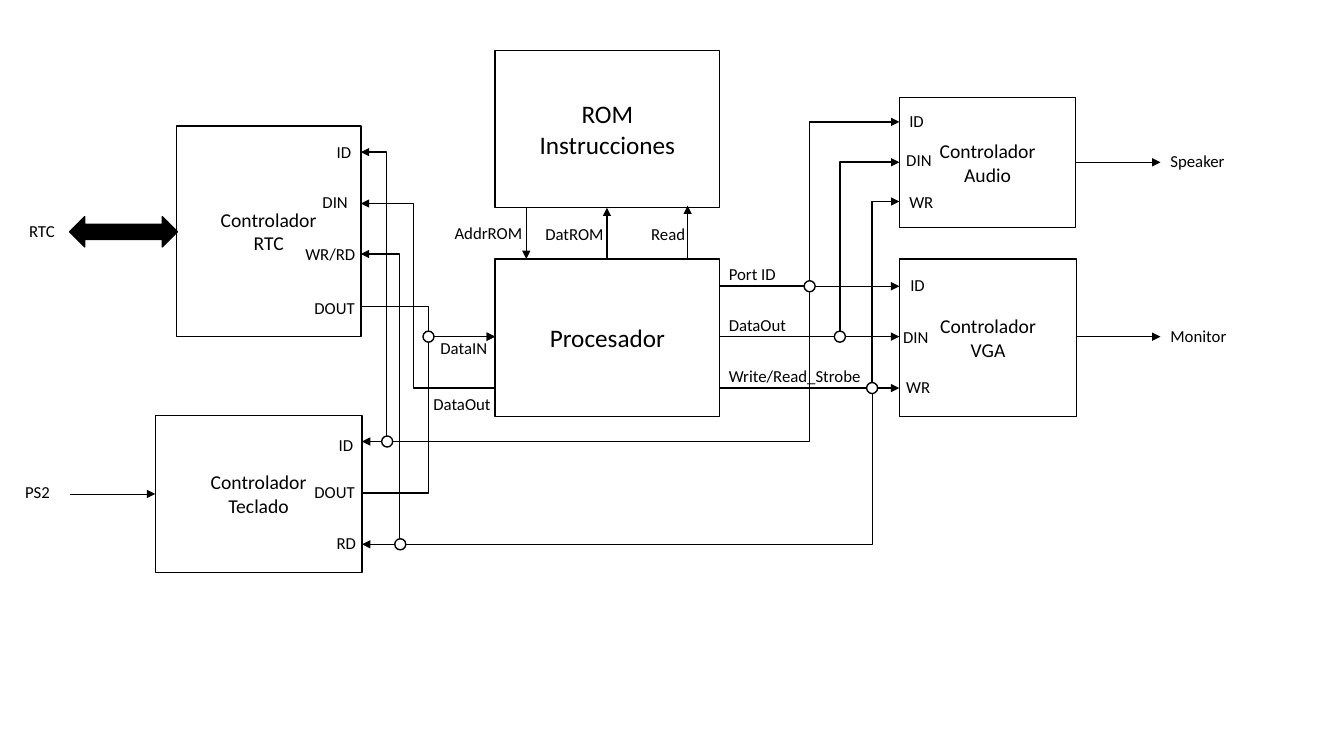
"""Builds a block diagram of a processor core with its controllers and buses."""
from lxml.etree import SubElement
from pptx import Presentation
from pptx.dml.color import RGBColor
from pptx.enum.shapes import MSO_CONNECTOR, MSO_SHAPE
from pptx.enum.text import MSO_ANCHOR, PP_ALIGN
from pptx.oxml.ns import qn
from pptx.util import Inches, Pt

THEME = {
    "font": "Calibri", "ink": RGBColor(0, 0, 0), "paper": RGBColor(255, 255, 255),
    "core": 18, "controller": 14, "label": 12, "line": 1, "thin": 0.5,
}
LABEL_HEIGHT, NODE_SIZE = 0.3, 0.11

BLOCKS = {
    "rom": (["ROM", "Instrucciones"], "core", 4.91, 0.5, 2.23, 1.56),
    "cpu": (["Procesador"], "core", 4.91, 2.57, 2.23, 1.56),
    "audio": (["Controlador", "Audio"], "controller", 8.92, 0.97, 1.75, 1.29),
    "vga": (["Controlador", "VGA"], "controller", 8.92, 2.57, 1.76, 1.56),
    "rtc": (["Controlador", "RTC"], "controller", 1.75, 1.25, 1.83, 2.09),
    "keyboard": (["Controlador", "Teclado"], "controller", 1.54, 4.12, 2.05, 1.56),
}
LEFT = {name: block[2] for name, block in BLOCKS.items()}
RIGHT = {name: block[2] + block[4] for name, block in BLOCKS.items()}

PORT_ROW, DATA_ROW, STROBE_ROW = 2.84, 3.34, 3.85
AUDIO_ID, AUDIO_DIN, AUDIO_WR = 1.21, 1.61, 2.0
RTC_ID, RTC_DIN, RTC_WR, RTC_DOUT = 1.51, 2.02, 2.52, 3.04
KEY_ID, KEY_DOUT, KEY_RD = 4.38, 4.89, 5.4
PORT_RAIL, DATA_RAIL, STROBE_RAIL = 8.03, 8.33, 8.65
ID_RAIL, WR_RAIL, DIN_RAIL, DOUT_RAIL = 3.84, 3.97, 4.1, 4.25

ELBOWS = [
    ("cpu", PORT_ROW, PORT_RAIL, "audio", AUDIO_ID, "line"),
    ("cpu", DATA_ROW, DATA_RAIL, "audio", AUDIO_DIN, "line"),
    ("cpu", STROBE_ROW, STROBE_RAIL, "audio", AUDIO_WR, "line"),
    ("cpu", PORT_ROW, PORT_RAIL, "keyboard", KEY_ID, "thin"),
    ("cpu", STROBE_ROW, STROBE_RAIL, "keyboard", KEY_RD, "thin"),
    ("keyboard", KEY_DOUT, DOUT_RAIL, "cpu", DATA_ROW, "line"),
    ("rtc", RTC_DOUT, DOUT_RAIL, "cpu", DATA_ROW, "line"),
    ("keyboard", KEY_RD, WR_RAIL, "rtc", RTC_WR, "line"),
    ("keyboard", KEY_ID, ID_RAIL, "rtc", RTC_ID, "line"),
]
ARROWS = [(RIGHT["cpu"], row, LEFT["vga"], row, "line")
          for row in (PORT_ROW, DATA_ROW, STROBE_ROW)] + [
    (5.22, 2.06, 5.22, 2.57, "line"),
    (6.02, 2.57, 6.02, 2.06, "line"),
    (6.82, 2.57, 6.82, 2.04, "line"),
    (RIGHT["audio"], 1.61, 11.51, 1.61, "thin"),
    (RIGHT["vga"], DATA_ROW, 11.51, DATA_ROW, "thin"),
    (0.69, 4.9, LEFT["keyboard"], 4.9, "thin"),
]
NODES = [(PORT_RAIL, PORT_ROW), (DATA_RAIL, DATA_ROW), (STROBE_RAIL, STROBE_ROW),
         (DOUT_RAIL, DATA_ROW), (ID_RAIL, KEY_ID), (WR_RAIL, KEY_RD)]

LABELS = {
    "Speaker": (0.75, [(11.51, 1.45)]),
    "Monitor": (0.76, [(11.51, 3.18)]),
    "Port ID": (0.67, [(7.13, 2.57)]),
    "DataOut": (0.78, [(7.13, 3.07), (4.2, 3.86)]),
    "Write/Read_Strobe": (1.52, [(7.13, 3.58)]),
    "AddrROM": (0.88, [(4.41, 2.16)]),
    "DatROM": (0.79, [(5.31, 2.17)]),
    "Read": (0.54, [(6.36, 2.17)]),
    "DataIN": (0.67, [(4.27, 3.3)]),
    "RTC": (0.46, [(0.19, 2.14)]),
    "PS2": (0.45, [(0.15, 4.73)]),
    "ID": (0.35, [(3.24, 1.36), (3.26, 4.26), (8.92, 1.05), (8.93, 2.68)]),
    "DIN": (0.46, [(8.89, 1.44), (8.86, 3.19), (3.1, 1.85)]),
    "WR": (0.44, [(8.92, 1.85), (8.89, 3.69)]),
    "WR/RD": (0.7, [(2.93, 2.37)]),
    "RD": (0.4, [(3.24, 5.24)]),
    "DOUT": (0.61, [(3.02, 4.73), (3.02, 2.9)]),
}

deck = Presentation()
deck.slide_width, deck.slide_height = Inches(13.33), Inches(7.5)
diagram = deck.slides.add_slide(deck.slide_layouts[6]).shapes


def add_figure(kind, left, top, width, height, fill="paper"):
    figure = diagram.add_shape(kind, *map(Inches, (left, top, width, height)))
    figure.shadow.inherit = False
    figure.fill.solid()
    figure.fill.fore_color.rgb = THEME[fill]
    figure.line.color.rgb = THEME["ink"]
    figure.line.width = Pt(THEME["line"])
    return figure


def write(frame, lines, size, align):
    frame.text = "\n".join(lines)
    for paragraph in frame.paragraphs:
        paragraph.alignment = align
        paragraph.font.name = THEME["font"]
        paragraph.font.size = Pt(THEME[size])
        paragraph.font.color.rgb = THEME["ink"]


def add_wire(x1, y1, x2, y2, weight, rail=None):
    kind = MSO_CONNECTOR.STRAIGHT if rail is None else MSO_CONNECTOR.ELBOW
    wire = diagram.add_connector(kind, *map(Inches, (x1, y1, x2, y2)))
    wire.line.color.rgb = THEME["ink"]
    wire.line.width = Pt(THEME[weight])
    SubElement(wire.line._get_or_add_ln(), qn("a:tailEnd"), type="triangle")
    properties = wire._element.spPr
    SubElement(properties, qn("a:effectLst"))
    if rail is not None:
        share = round((rail - x1) / (x2 - x1) * 100000)
        guides = properties.find(qn("a:prstGeom")).get_or_add_avLst()
        SubElement(guides, qn("a:gd"), name="adj1", fmla=f"val {share}")


for lines, size, *place in BLOCKS.values():
    block = add_figure(MSO_SHAPE.RECTANGLE, *place)
    block.text_frame.vertical_anchor = MSO_ANCHOR.MIDDLE
    write(block.text_frame, lines, size, PP_ALIGN.CENTER)

for source, start_row, rail, target, end_row, weight in ELBOWS:
    end = LEFT[target] if target in ("audio", "cpu") else RIGHT[target]
    add_wire(RIGHT[source], start_row, end, end_row, weight, rail)
add_wire(LEFT["cpu"], STROBE_ROW, RIGHT["rtc"], RTC_DIN, "line", DIN_RAIL)
for arrow in ARROWS:
    add_wire(*arrow)

add_figure(MSO_SHAPE.LEFT_RIGHT_ARROW, 0.69, 2.15, 1.07, 0.3, "ink")
for x, y in NODES:
    add_figure(MSO_SHAPE.OVAL, x - NODE_SIZE / 2, y - NODE_SIZE / 2, NODE_SIZE, NODE_SIZE)

for word, (width, places) in LABELS.items():
    for left, top in places:
        label = diagram.add_textbox(*map(Inches, (left, top, width, LABEL_HEIGHT)))
        label.text_frame.word_wrap = False
        write(label.text_frame, [word], "label", PP_ALIGN.LEFT)

deck.save("out.pptx")
